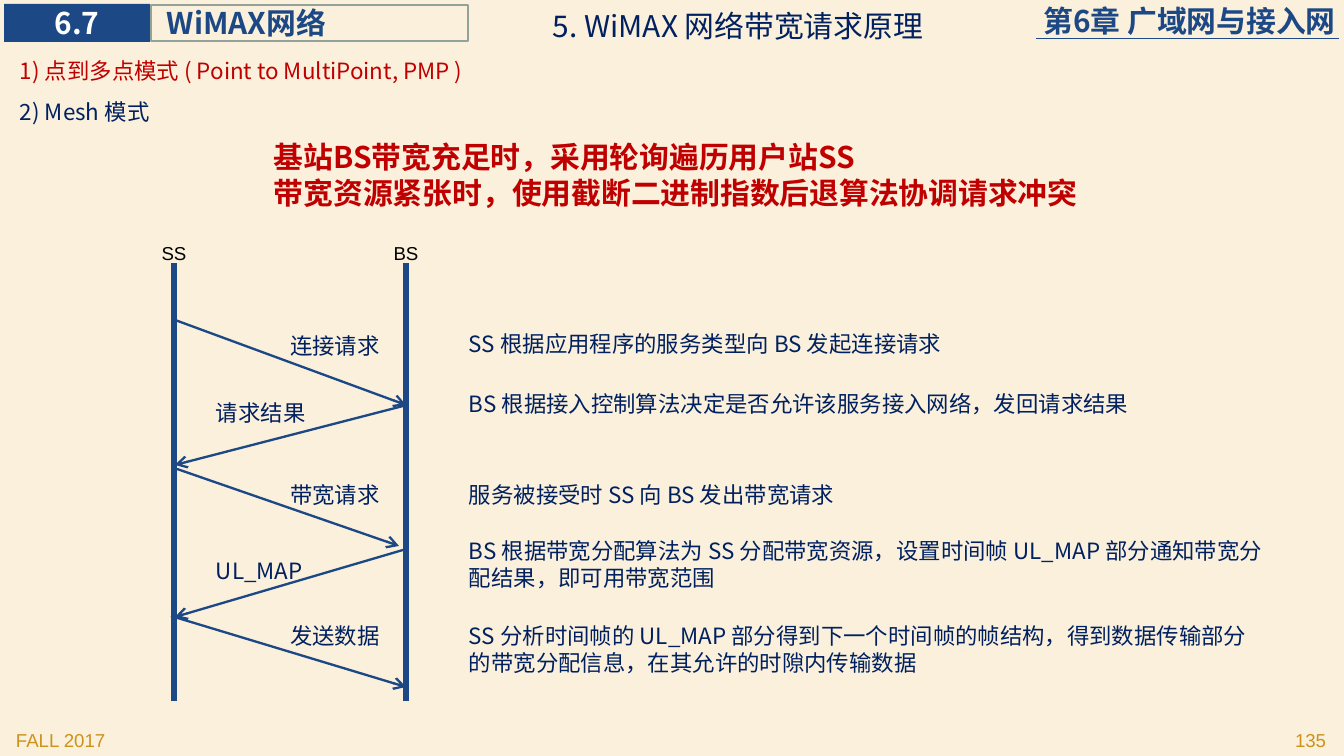
import pptx
import pptx.dml.color
import pptx.enum.shapes
import pptx.enum.text
import pptx.oxml
import pptx.oxml.ns
import pptx.util

PX = 914400 / 134.4
COLORS = {
    "cream": "FAF0DB", "blue": "1C4885", "navy": "002060", "red": "C00000",
    "gold": "CD921B", "sage": "93A299", "white": "FFFFFF", "black": "000000",
}
CJK = "Noto Sans CJK SC"
ALIGN = pptx.enum.text.PP_ALIGN
ANCHOR = pptx.enum.text.MSO_ANCHOR
qn = pptx.oxml.ns.qn
rgb = {name: pptx.dml.color.RGBColor.from_string(c) for name, c in COLORS.items()}

prs = pptx.Presentation()
prs.slide_width = round(1344 * PX)
prs.slide_height = round(756 * PX)
s = prs.slides.add_slide(prs.slide_layouts[6])
s.background.fill.solid()
s.background.fill.fore_color.rgb = rgb["cream"]


def add_text(box, text, size, color, font=CJK, bold=False, align=ALIGN.LEFT,
             anchor=ANCHOR.TOP, insets=(13, 7, 13, 7), fill=None, outline=None):
    """Add a text box, or a rectangle when a fill or outline is given; box and insets in px."""
    place = [round(v * PX) for v in box]
    if fill or outline:
        sp = s.shapes.add_shape(pptx.enum.shapes.MSO_SHAPE.RECTANGLE, *place)
        sp.shadow.inherit = False
        if fill:
            sp.fill.solid()
            sp.fill.fore_color.rgb = rgb[fill]
        else:
            sp.fill.background()
        if outline:
            sp.line.color.rgb = rgb[outline]
            sp.line.width = pptx.util.Pt(0.75)
        else:
            sp.line.fill.background()
    else:
        sp = s.shapes.add_textbox(*place)
    tf = sp.text_frame
    tf.word_wrap = True
    tf.vertical_anchor = anchor
    tf.margin_left, tf.margin_top, tf.margin_right, tf.margin_bottom = [
        round(v * PX) for v in insets]
    tf.text = text
    for p in tf.paragraphs:
        p.alignment = align
        for r in p.runs:
            r.font.size = pptx.util.Pt(size)
            r.font.bold = bold
            r.font.name = font
            r.font.color.rgb = rgb[color]
            ea = pptx.oxml.parse_xml(
                '<a:ea xmlns:a="http://schemas.openxmlformats.org/drawingml/2006/main"/>')
            ea.set("typeface", font)
            r.font._element.find(qn("a:latin")).addnext(ea)


def add_line(x1, y1, x2, y2, width, arrow=False):
    c = s.shapes.add_connector(pptx.enum.shapes.MSO_CONNECTOR.STRAIGHT,
                               *[round(v * PX) for v in (x1, y1, x2, y2)])
    c.line.color.rgb = rgb["blue"]
    c.line.width = pptx.util.Pt(width)
    if arrow:
        tail = c.line._get_or_add_ln().makeelement(qn("a:tailEnd"), {"type": "arrow"})
        c.line._get_or_add_ln().append(tail)
    sp_pr = c._element.spPr
    sp_pr.append(sp_pr.makeelement(qn("a:effectLst"), {}))


# Header and footer
add_text((831, 3, 505, 36), "第6章 广域网与接入网", 16, "blue", bold=True,
         align=ALIGN.RIGHT, anchor=ANCHOR.MIDDLE, insets=(0, 0, 0, 0))
add_line(1036, 38, 1339, 38, 0.5)
add_text((151, 5, 317, 36), "WiMAX网络", 16, "blue", bold=True,
         anchor=ANCHOR.MIDDLE, insets=(16, 0, 0, 0), outline="sage")
add_text((4, 4, 146, 38), "6.7", 16, "white", bold=True, align=ALIGN.CENTER,
         anchor=ANCHOR.MIDDLE, insets=(0, 0, 0, 0), fill="blue")
add_text((3, 722, 280, 31), "FALL 2017", 10, "gold", "Arial")
add_text((1059, 722, 280, 31), "135", 10, "gold", "Arial", align=ALIGN.RIGHT)

# Title, modes and key message
add_text((540, 1, 454, 50), "5. WiMAX 网络带宽请求原理", 16, "navy")
add_text((7, 50, 808, 40), "1) 点到多点模式 ( Point to MultiPoint, PMP )", 12, "red")
add_text((7, 91, 808, 40), "2) Mesh 模式", 12, "navy")
add_text((261, 132, 857, 86),
         "基站BS带宽充足时，采用轮询遍历用户站SS\n"
         "带宽资源紧张时，使用截断二进制指数后退算法协调请求冲突",
         16, "red", bold=True)

# Lifelines of the two stations
for name, x in (("SS", 174), ("BS", 406)):
    add_line(x, 263, x, 701, 3)
    add_text((x - 29, 234, 58, 30), name, 10, "black", "Arial", align=ALIGN.CENTER,
             anchor=ANCHOR.BOTTOM, insets=(0, 7, 0, 0))

# Messages: arrow, label, label top, description, description top
messages = [
    ((175, 320, 406, 405), "连接请求", 325,
     "SS 根据应用程序的服务类型向 BS 发起连接请求", 323),
    ((407, 405, 175, 465), "请求结果", 392,
     "BS 根据接入控制算法决定是否允许该服务接入网络，发回请求结果", 383),
    ((177, 469, 399, 546), "带宽请求", 474,
     "服务被接受时 SS 向 BS 发出带宽请求", 474),
    ((403, 550, 175, 617), "UL_MAP", 550,
     "BS 根据带宽分配算法为 SS 分配带宽资源，设置时间帧 UL_MAP 部分通知带宽分配结果，即可用带宽范围", 530),
    ((171, 616, 406, 687), "发送数据", 615,
     "SS 分析时间帧的 UL_MAP 部分得到下一个时间帧的帧结构，得到数据传输部分的带宽分配信息，在其允许的时隙内传输数据", 615),
]
for i, (arrow, label, label_top, description, top) in enumerate(messages):
    add_line(*arrow, 1.25, arrow=True)
    label_left = 203 if i % 2 else 277
    add_text((label_left, label_top, 159, 40), label, 12, "navy")
    add_text((456, top, 823, 67 if i > 2 else 40), description, 12, "navy")

prs.save("out.pptx")
